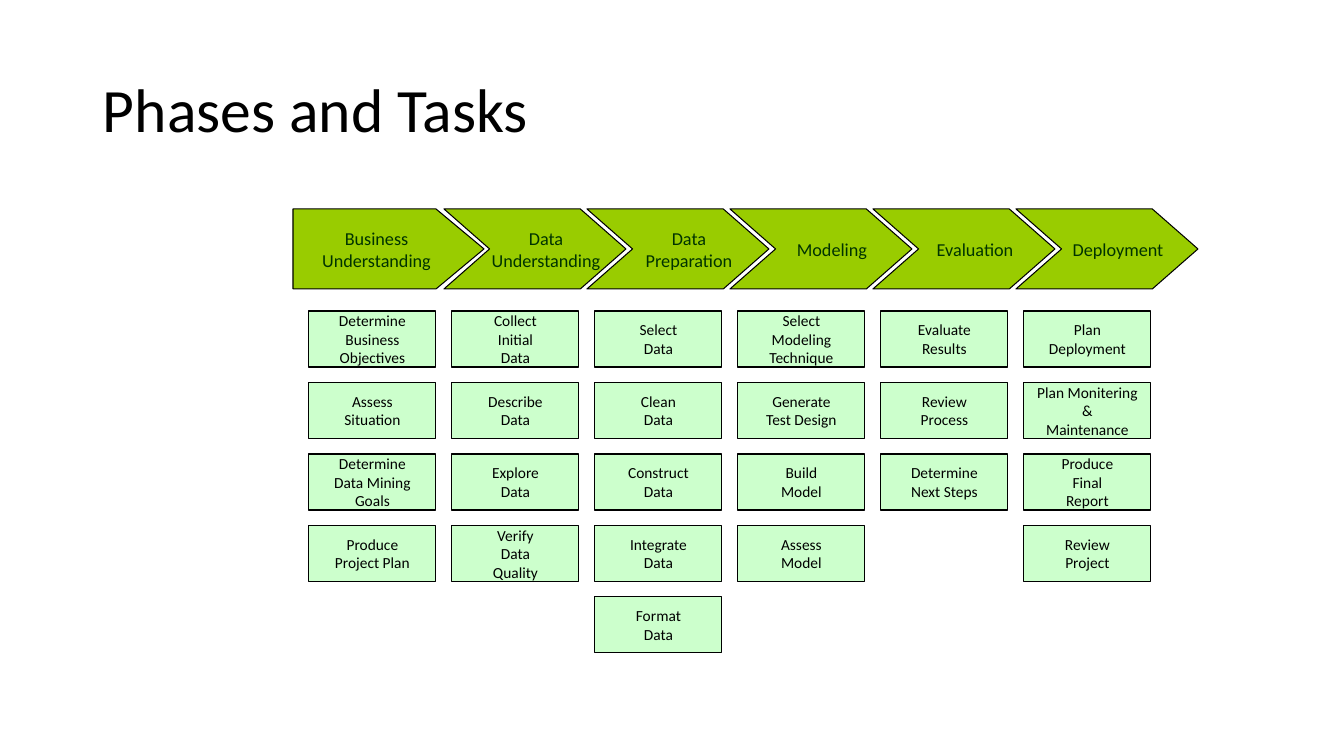
from pptx import Presentation
from pptx.dml.color import RGBColor
from pptx.enum.shapes import MSO_SHAPE
from pptx.enum.text import MSO_ANCHOR, PP_ALIGN
from pptx.util import Emu, Pt

PENTAGON = MSO_SHAPE.PENTAGON
CHEVRON = MSO_SHAPE.CHEVRON
PROCESS = MSO_SHAPE.FLOWCHART_PROCESS
MIDDLE = MSO_ANCHOR.MIDDLE
CENTER = PP_ALIGN.CENTER

EMU_PER_PX = 914400 / 100.8
FONT = "Calibri"
COLORS = {
    "phase": "99CC00",
    "phase_text": "003300",
    "task": "CCFFCC",
    "ink": "000000",
}
PHASES = [
    ("Business\nUnderstanding", [
        "Determine\nBusiness\nObjectives", "Assess\nSituation",
        "Determine\nData Mining\nGoals", "Produce\nProject Plan"]),
    ("Data\nUnderstanding", [
        "Collect\nInitial\nData", "Describe\nData",
        "Explore\nData", "Verify\nData\nQuality"]),
    ("Data\nPreparation", [
        "Select\nData", "Clean\nData", "Construct\nData",
        "Integrate\nData", "Format\nData"]),
    ("Modeling", [
        "Select\nModeling\nTechnique", "Generate\nTest Design",
        "Build\nModel", "Assess\nModel"]),
    ("Evaluation", [
        "Evaluate\nResults", "Review\nProcess", "Determine\nNext Steps"]),
    ("Deployment", [
        "Plan\nDeployment", "Plan Monitering\n&\nMaintenance",
        "Produce\nFinal\nReport", "Review\nProject"]),
]


def px(length):
    return Emu(round(length * EMU_PER_PX))


def color(key):
    return RGBColor.from_string(COLORS[key])


def write_lines(frame, text, size, color_key, align=None):
    frame.vertical_anchor = MIDDLE
    for index, line in enumerate(text.split("\n")):
        paragraph = frame.paragraphs[0] if index == 0 else frame.add_paragraph()
        paragraph.alignment = align
        run = paragraph.add_run()
        run.text = line
        run.font.name = FONT
        run.font.size = Pt(size)
        run.font.color.rgb = color(color_key)


def add_step(shapes, preset, box, text, size, fill_key, text_key):
    step = shapes.add_shape(preset, *map(px, box))
    step.shadow.inherit = False
    step.fill.solid()
    step.fill.fore_color.rgb = color(fill_key)
    step.line.color.rgb = color("ink")
    step.line.width = Pt(0.75)
    step.text_frame.word_wrap = False
    write_lines(step.text_frame, text, size, text_key, CENTER)
    return step


def add_title(slide, box):
    title = slide.shapes.add_textbox(*map(px, box))
    title.text_frame.word_wrap = True
    write_lines(title.text_frame, "Phases and Tasks", 44, "ink")
    title.text_frame.paragraphs[0].line_spacing = 0.9


def add_phase_band(slide, box):
    left, top, width, height = box
    first_width, chevron_width, first_pitch = 191, 182, 151
    pitch = (width - first_pitch - chevron_width) / (len(PHASES) - 2)
    band = slide.shapes.add_group_shape().shapes
    for index, (phase, _) in enumerate(PHASES):
        if index == 0:
            arrow = add_step(band, PENTAGON, (left, top, first_width, height),
                             phase, 13, "phase", "phase_text")
            arrow.adjustments[0] = 0.6
        else:
            x = left + first_pitch + (index - 1) * pitch
            arrow = add_step(band, CHEVRON, (x, top, chevron_width, height),
                             phase, 13, "phase", "phase_text")
            arrow.adjustments[0] = 0.57
            arrow.text_frame.margin_left = px(32)


def add_task_grid(slide, box):
    left, top, width, height = box
    task_width, task_height = 127, 56
    column_pitch = (width - task_width) / (len(PHASES) - 1)
    row_count = max(len(tasks) for _, tasks in PHASES)
    row_pitch = (height - task_height) / (row_count - 1)
    grid = slide.shapes.add_group_shape().shapes
    for column, (_, tasks) in enumerate(PHASES):
        for row, task in enumerate(tasks):
            cell = (left + column * column_pitch, top + row * row_pitch,
                    task_width, task_height)
            add_step(grid, PROCESS, cell, task, 11, "task", "ink")


def main():
    deck = Presentation()
    deck.slide_width, deck.slide_height = px(1344), px(756)
    slide = deck.slides.add_slide(deck.slide_layouts[6])
    add_title(slide, (93, 40, 1159, 146))
    add_phase_band(slide, (293, 209, 905, 80))
    add_task_grid(slide, (309, 311, 842, 342))
    deck.save("out.pptx")


if __name__ == "__main__":
    main()
